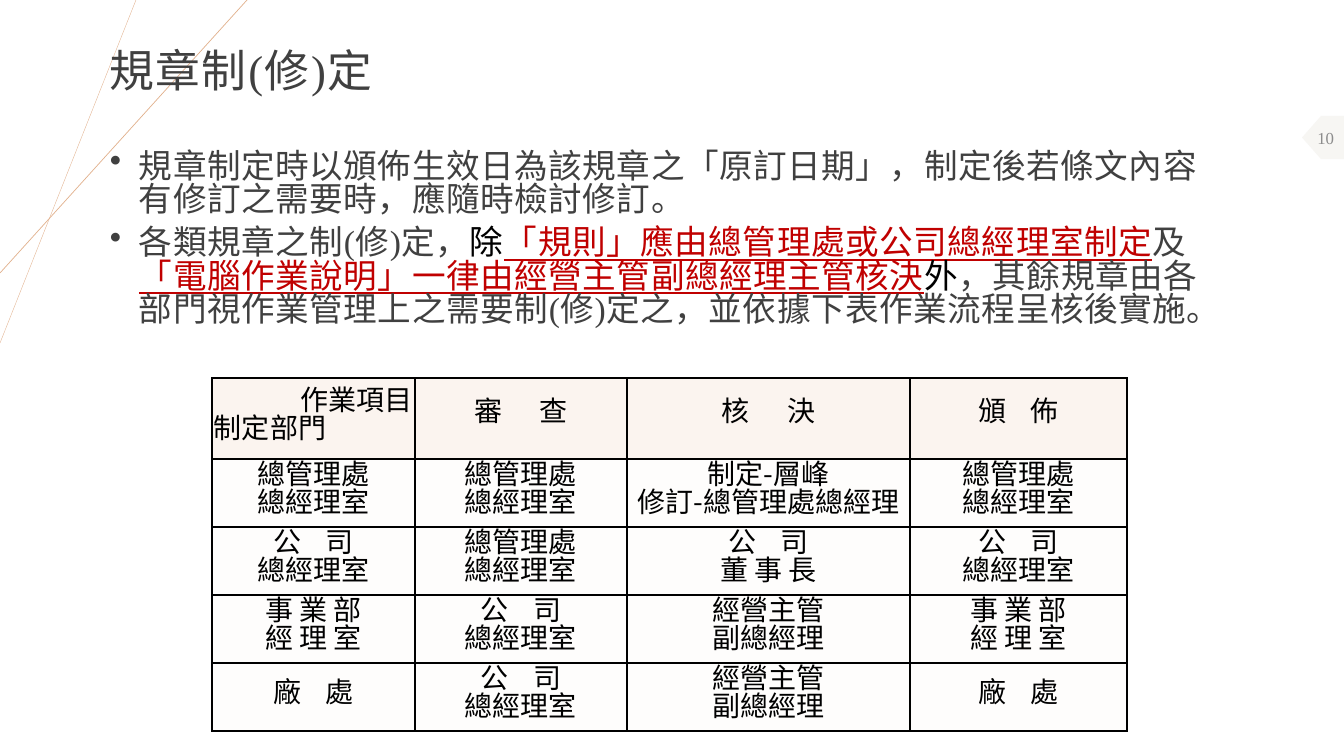
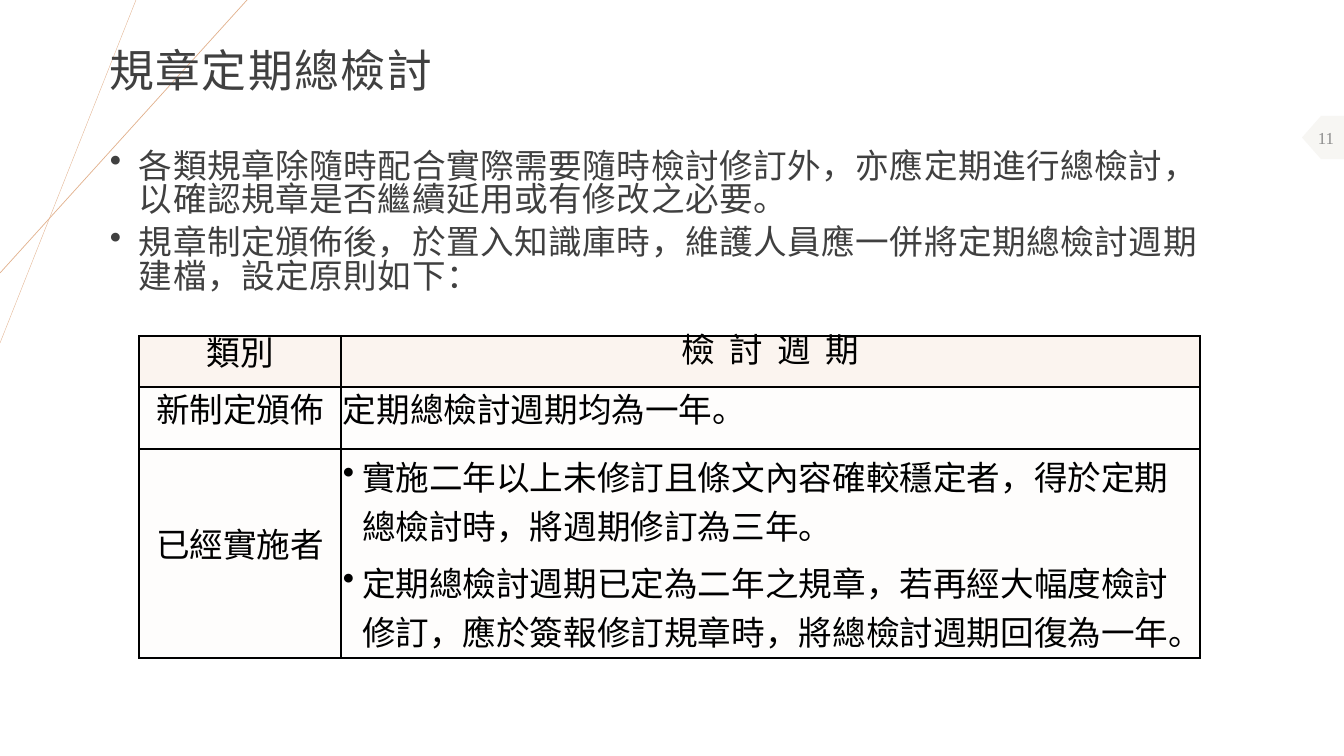
from lxml.etree import SubElement
from pptx import Presentation
from pptx.dml.color import RGBColor
from pptx.enum.shapes import MSO_CONNECTOR, MSO_SHAPE
from pptx.enum.text import MSO_ANCHOR, PP_ALIGN
from pptx.oxml.ns import qn
from pptx.util import Pt

SCALE = 914400 / 100.8
WIDE, HIGH = 1344, 756
INK = RGBColor(0x40, 0x40, 0x40)
BLACK = RGBColor(0, 0, 0)
RED = RGBColor(0xC0, 0, 0)
GRAY = RGBColor(0x8C, 0x8C, 0x8C)
SAND = RGBColor(0xE2, 0xB1, 0x8D)
TAG = RGBColor(0xF7, 0xF6, 0xF3)
HEAD = RGBColor(0xFB, 0xF4, 0xEF)
CELL = RGBColor(0xFE, 0xFD, 0xFC)
SERIF, SANS = "Times New Roman", "Noto Sans CJK SC"

# Extra points after each space in spread-out labels
GAPS = {"審 查": 22, "核 決": 22, "頒 佈": 13, "公 司": 13, "廠 處": 13, "檢 討 週 期": 5}

RULES = [
    [("規章制定時以頒佈生效日為該規章之「原訂日期」，制定後若條文內容有修訂之需要時，應隨時檢討修訂。", INK)],
    [("各類規章之制(修)定，", INK),
     ("除", BLACK),
     ("「規則」應由總管理處或公司總經理室制定", RED),
     ("及", INK),
     ("「電腦作業說明」一律由經營主管副總經理主管核決", RED),
     ("外", BLACK),
     ("，其餘規章由各部門視作業管理上之需要制(修)定之，並依據下表作業流程呈核後實施。", INK)],
]
REVIEW = [
    [("各類規章除隨時配合實際需要隨時檢討修訂外，亦應定期進行總檢討，以確認規章是否繼續延用或有修改之必要。", INK)],
    [("規章制定頒佈後，於置入知識庫時，維護人員應一併將定期總檢討週期建檔，設定原則如下：", INK)],
]

CHIEF = "總管理處\n總經理室"
FIRM = "公 司\n總經理室"
UNIT = "事 業 部\n經 理 室"
BOSS = "經營主管\n副總經理"
PLANT = "廠 處"
FLOW = [
    ["作業項目\n制定部門", "審 查", "核 決", "頒 佈"],
    [CHIEF, CHIEF, "制定-層峰\n修訂-總管理處總經理", CHIEF],
    [FIRM, CHIEF, "公 司\n董 事 長", FIRM],
    [UNIT, FIRM, BOSS, UNIT],
    [PLANT, FIRM, BOSS, PLANT],
]
CYCLE = [
    ["類別", "檢 討 週 期"],
    ["新制定頒佈", "定期總檢討週期均為一年。"],
    ["已經實施者",
     "實施二年以上未修訂且條文內容確較穩定者，得於定期總檢討時，將週期修訂為三年。\n"
     "定期總檢討週期已定為二年之規章，若再經大幅度檢討修訂，應於簽報修訂規章時，將總檢討週期回復為一年。"],
]


def px(num):
    return int(num * SCALE)


def style(run, size, color, face=SERIF, space=0):
    """Format a run; space is the letter spacing in points."""
    font = run.font
    font.size, font.name, font.bold = Pt(size), face, False
    font.color.rgb = color
    props = font._element
    SubElement(props, qn("a:ea"), typeface=SANS)
    if space:
        props.set("spc", str(int(space * 100)))


def bullet(paras, indent, before, lead):
    for i, para in enumerate(paras):
        props = para._p.get_or_add_pPr()
        props.set("marL", str(px(indent)))
        props.set("indent", str(-px(indent)))
        SubElement(props, qn("a:buChar"), char="•")
        para.alignment = PP_ALIGN.LEFT
        para.space_before = Pt(before if i else 0)
        para.line_spacing = lead


def border(cell):
    props = cell._tc.get_or_add_tcPr()
    for i, side in enumerate(("lnL", "lnR", "lnT", "lnB")):
        line = props.makeelement(qn("a:" + side), {"w": str(Pt(1))})
        fill = SubElement(line, qn("a:solidFill"))
        SubElement(fill, qn("a:srgbClr"), val=str(BLACK))
        props.insert(i, line)


class Deck:
    def __init__(self):
        self.show = Presentation()
        self.show.slide_width, self.show.slide_height = px(WIDE), px(HIGH)

    def page(self, title, num):
        """Start a slide with its lines, title and page tag."""
        self.slide = self.show.slides.add_slide(self.show.slide_layouts[5])
        self.shapes = self.slide.shapes
        self.line(136, 343, 0.25)
        self.line(247, 273, 0.5)
        self.tag(num)
        self.title(title)

    def line(self, x, y, width):
        """Draw a line from the top edge to the left edge."""
        line = self.shapes.add_connector(MSO_CONNECTOR.STRAIGHT, px(x), 0, 0, px(y))
        line.line.color.rgb = SAND
        line.line.width = Pt(width)
        SubElement(line._element.spPr, qn("a:effectLst"))

    def tag(self, num):
        plate = self.shapes.add_shape(MSO_SHAPE.PENTAGON, px(1302), px(116), px(42), px(43))
        plate.adjustments[0] = 0.45
        plate.rotation = 180
        plate.shadow.inherit = False
        plate.fill.solid()
        plate.fill.fore_color.rgb = TAG
        plate.line.fill.background()
        frame = self.box(1269, 115, 75, 46)
        frame.vertical_anchor = MSO_ANCHOR.MIDDLE
        frame.text = str(num)
        para = frame.paragraphs[0]
        para.alignment = PP_ALIGN.RIGHT
        style(para.runs[0], 12, GRAY)

    def title(self, text):
        shape = self.shapes.title
        shape.left, shape.top, shape.width, shape.height = map(px, (99, 22, 1028, 103))
        self.shapes.element.append(shape.element)
        frame = shape.text_frame
        frame.text = text
        frame.vertical_anchor = MSO_ANCHOR.MIDDLE
        para = frame.paragraphs[0]
        para.alignment = PP_ALIGN.LEFT
        para.line_spacing = 0.9
        style(para.runs[0], 32, INK, space=1.1)

    def box(self, x, y, wide, high):
        frame = self.shapes.add_textbox(px(x), px(y), px(wide), px(high)).text_frame
        frame.word_wrap = True
        return frame

    def body(self, items):
        frame = self.box(100, 147, 1136, 230)
        frame.text = "\n".join("" for _ in items)
        for para, parts in zip(frame.paragraphs, items):
            for text, color in parts:
                run = para.add_run()
                run.text = text
                style(run, 24, color, space=0.4)
                if color == RED:
                    run.font.underline = True
        bullet(frame.paragraphs, 29, 7.5, 0.82)

    def table(self, x, y, cols, rows, data, size, face):
        grid = self.shapes.add_table(len(rows), len(cols), px(x), px(y),
                                     px(sum(cols)), px(sum(rows))).table
        grid.first_row = grid.horz_banding = False
        for col, wide in zip(grid.columns, cols):
            col.width = px(wide)
        for row, high in zip(grid.rows, rows):
            row.height = px(high)
        for r, texts in enumerate(data):
            for c, text in enumerate(texts):
                lead = 16 if r == 0 and c else 20
                self.cell(grid.cell(r, c), text, HEAD if r == 0 else CELL, lead, size, face)
        return grid

    def cell(self, cell, text, fill, lead, size, face):
        cell.fill.solid()
        cell.fill.fore_color.rgb = fill
        border(cell)
        cell.margin_left = cell.margin_right = px(2)
        cell.margin_top = cell.margin_bottom = 0
        cell.vertical_anchor = MSO_ANCHOR.MIDDLE
        frame = cell.text_frame
        frame.text = text
        for para in frame.paragraphs:
            para.alignment = PP_ALIGN.CENTER
            para.line_spacing = Pt(lead)
            words = para.text
            gap = GAPS.get(words, 0)
            if gap:
                para.text = words[0]
                for char in words[1:]:
                    para.add_run().text = char
            for run in para.runs:
                style(run, size, BLACK, face, gap if run.text == " " else 0)

    def save(self):
        self.show.save("out.pptx")


def main():
    deck = Deck()

    deck.page("規章制(修)定", 10)
    deck.body(RULES)
    flow = deck.table(212, 378, [203, 212, 283, 217], [81] + [68] * 4, FLOW, 20, SANS)
    top, low = flow.cell(0, 0).text_frame.paragraphs
    top.alignment, low.alignment = PP_ALIGN.RIGHT, PP_ALIGN.LEFT

    deck.page("規章定期總檢討", 11)
    deck.body(REVIEW)
    cycle = deck.table(139, 336, [202, 859], [51, 62, 209], CYCLE, 24, SERIF)
    cycle.cell(1, 1).text_frame.paragraphs[0].alignment = PP_ALIGN.LEFT
    bullet(cycle.cell(2, 1).text_frame.paragraphs, 19, 6, 1.0)

    deck.save()


if __name__ == "__main__":
    main()
